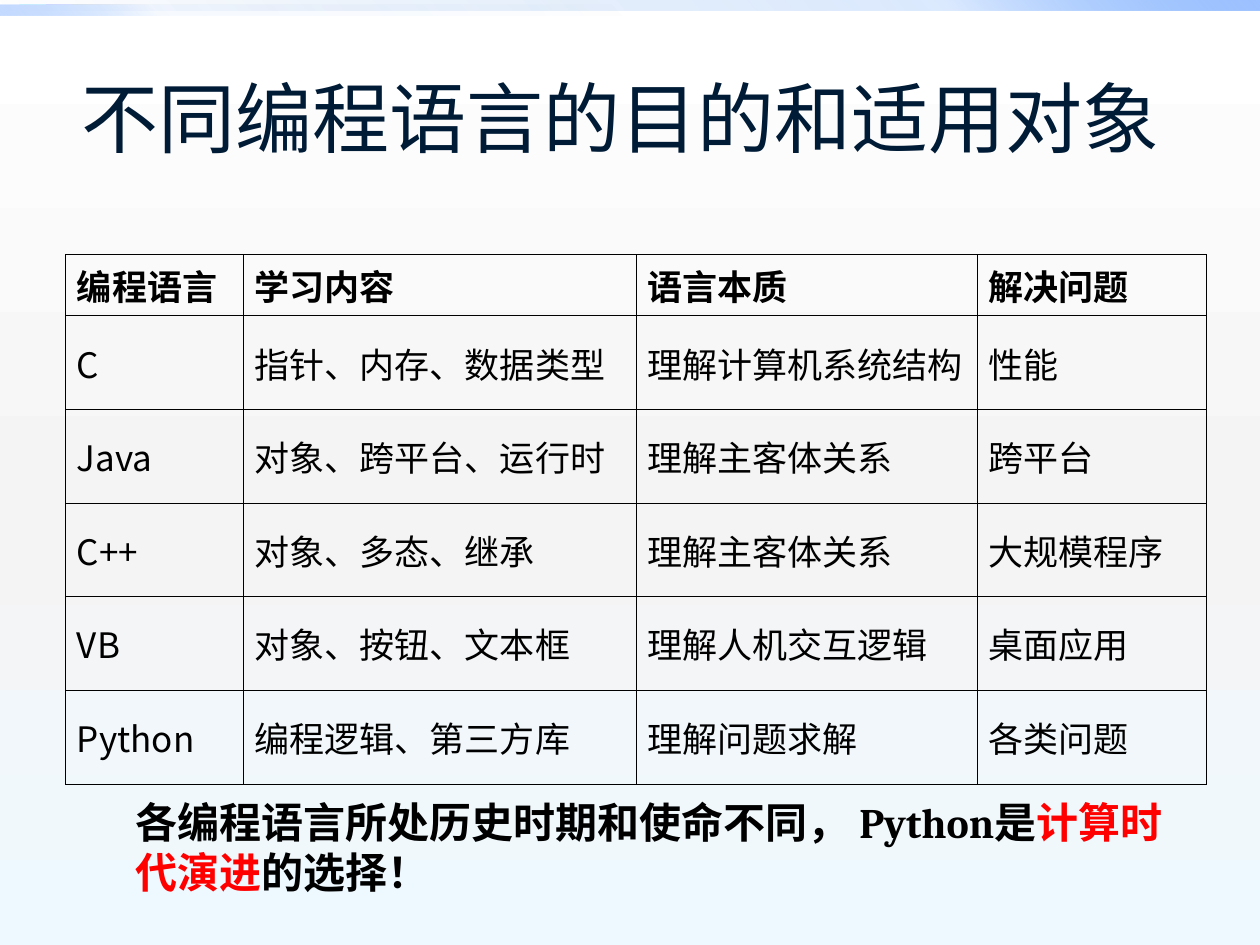
from pptx import Presentation
from pptx.dml.color import RGBColor
from pptx.enum.shapes import MSO_SHAPE
from pptx.enum.text import MSO_ANCHOR, MSO_AUTO_SIZE, PP_ALIGN
from pptx.oxml import parse_xml
from pptx.oxml.ns import nsdecls, qn
from pptx.util import Pt

RECT, MIDDLE, CENTER = MSO_SHAPE.RECTANGLE, MSO_ANCHOR.MIDDLE, PP_ALIGN.CENTER
GROW = MSO_AUTO_SIZE.SHAPE_TO_FIT_TEXT
CJK = "Noto Sans CJK SC"
BLACK, RED, NAVY = "000000", "FF0000", "001B36"

# Content
TITLE = "不同编程语言的目的和适用对象 "
LANGUAGES = [
    ("编程语言", "学习内容", "语言本质", "解决问题"),
    ("C", "指针、内存、数据类型", "理解计算机系统结构", "性能"),
    ("Java", "对象、跨平台、运行时", "理解主客体关系", "跨平台"),
    ("C++", "对象、多态、继承", "理解主客体关系", "大规模程序"),
    ("VB", "对象、按钮、文本框", "理解人机交互逻辑", "桌面应用"),
    ("Python", "编程逻辑、第三方库", "理解问题求解", "各类问题"),
]
CONCLUSION = [
    ("各编程语言所处历史时期和使命不同， Python是", BLACK),
    ("计算时代演进", RED),
    ("的选择！", BLACK),
]
COLUMN_WIDTHS = (101.5, 224.5, 195, 131)
HEADER_HEIGHT, ROW_HEIGHT = 31, 53.5

# Gradients: (position %, colour, opacity %)
BACKDROP = [(0, "FFFFFF", 100), (55, "F4F4F4", 100), (100, "EEF9FF", 100)]
BANDS = [  # left, top, width, height, angle, stops
    (0, 0, 720, 5.8, 315,
     [(0, "0058B7", 0), (75, "4F95FF", 20), (100, "9EC2FF", 100)]),
    (0, 2.9, 360, 5.8, 135,
     [(0, "0058B7", 0), (75, "4F95FF", 5), (100, "9EC2FF", 60)]),
]


def color(hex_code):
    return RGBColor.from_string(hex_code)


def set_gradient(fill, properties, stops, angle):
    """Swap a plain fill for a gradient of any number of stops."""
    fill.solid()
    stop_xml = "".join(
        f'<a:gs pos="{position * 1000}"><a:srgbClr val="{hex_code}">'
        f'<a:alpha val="{opacity * 1000}"/></a:srgbClr></a:gs>'
        for position, hex_code, opacity in stops)
    gradient = parse_xml(
        f'<a:gradFill {nsdecls("a")} rotWithShape="1"><a:gsLst>{stop_xml}</a:gsLst>'
        f'<a:lin ang="{angle * 60000}" scaled="0"/></a:gradFill>')
    properties.replace(properties.find(qn("a:solidFill")), gradient)


def add_run(paragraph, text, size, font, hex_code, bold=False):
    run = paragraph.add_run()
    run.text = text
    run.font.size, run.font.name, run.font.bold = Pt(size), font, bold
    run.font.color.rgb = color(hex_code)
    east_asian = parse_xml(f'<a:ea {nsdecls("a")} typeface="{CJK}"/>')
    run.font._element.find(qn("a:latin")).addnext(east_asian)


def set_borders(cell):
    properties = cell._tc.get_or_add_tcPr()
    for index, side in enumerate(("lnL", "lnR", "lnT", "lnB")):
        properties.insert(index, parse_xml(
            f'<a:{side} {nsdecls("a")} w="{Pt(0.5)}"><a:solidFill>'
            f'<a:srgbClr val="{BLACK}"/></a:solidFill></a:{side}>'))


prs = Presentation()
prs.slide_width, prs.slide_height = Pt(720), Pt(540)
slide = prs.slides.add_slide(prs.slide_layouts[5])

# Background and top bands
backdrop = slide.background.fill
backdrop.solid()
set_gradient(backdrop, slide._element.cSld.bg.bgPr, BACKDROP, 90)
for left, top, width, height, angle, stops in BANDS:
    band = slide.shapes.add_shape(RECT, Pt(left), Pt(top), Pt(width), Pt(height))
    band.shadow.inherit = False
    band.line.fill.background()
    set_gradient(band.fill, band._element.spPr, stops, angle)

# Title
title = slide.shapes.title
title.left, title.top, title.width, title.height = Pt(36), Pt(21.6), Pt(648), Pt(90)
title.text_frame.vertical_anchor = MIDDLE
heading = title.text_frame.paragraphs[0]
heading.alignment = CENTER
add_run(heading, TITLE, 44, "Lato", NAVY)

# Language table
heights = [HEADER_HEIGHT] + [ROW_HEIGHT] * (len(LANGUAGES) - 1)
table = slide.shapes.add_table(
    len(LANGUAGES), len(COLUMN_WIDTHS), Pt(37.5), Pt(145.5),
    Pt(sum(COLUMN_WIDTHS)), Pt(sum(heights))).table
table.first_row = table.horz_banding = False
for column, width in zip(table.columns, COLUMN_WIDTHS):
    column.width = Pt(width)
for r, (language, height) in enumerate(zip(LANGUAGES, heights)):
    table.rows[r].height = Pt(height)
    for c, text in enumerate(language):
        cell = table.cell(r, c)
        cell.fill.background()
        cell.vertical_anchor = MIDDLE
        cell.margin_left = cell.margin_right = Pt(6.5)
        cell.margin_top = cell.margin_bottom = Pt(3)
        set_borders(cell)
        add_run(cell.text_frame.paragraphs[0], text, 20, CJK, BLACK, bold=r == 0)

# Conclusion
conclusion = slide.shapes.add_textbox(Pt(70.5), Pt(451.5), Pt(612), Pt(65.5)).text_frame
conclusion.word_wrap = True
conclusion.auto_size = GROW
for text, hex_code in CONCLUSION:
    add_run(conclusion.paragraphs[0], text, 24, "Cambria", hex_code, bold=True)

prs.save("out.pptx")
